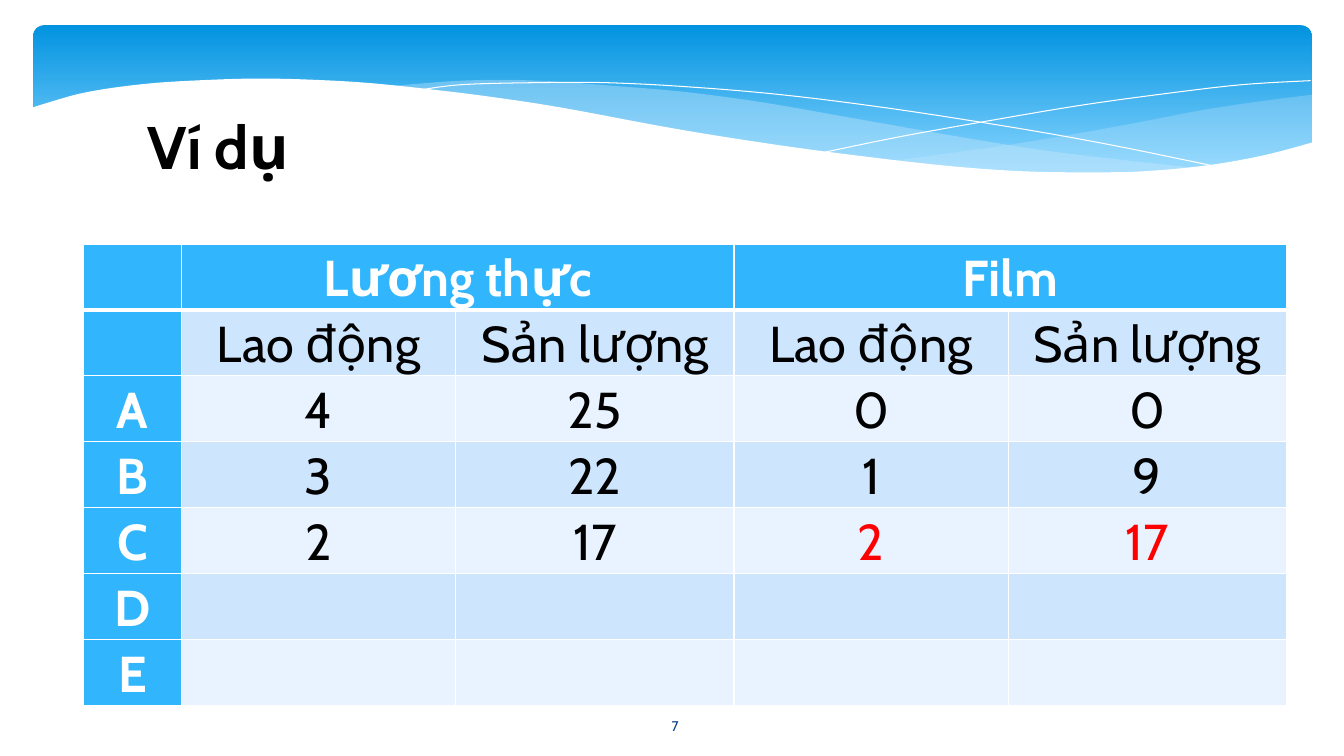
from lxml import etree
from pptx import Presentation
from pptx import util as u
from pptx.dml.color import RGBColor
from pptx.enum import shapes, text
from pptx.oxml.ns import qn

PX = 9144  # one hundred px to the inch
FONT = "Cabin"
WHITE, BLACK, RED, SKY = "FFFFFF", "000000", "FF0000", "31B6FD"
color = RGBColor.from_string


def smooth(knots, steps=6):
    """Points of a Catmull-Rom curve through the knots."""
    ends = [knots[0], *knots, knots[-1]]
    points = []
    for a, b, c, d in zip(ends, ends[1:], ends[2:], ends[3:]):
        for step in range(steps):
            t = step / steps
            points.append(tuple(
                (2 * q + (r - p) * t + (2 * p - 5 * q + 4 * r - s) * t**2
                 + (3 * q - p - 3 * r + s) * t**3) / 2
                for p, q, r, s in zip(a, b, c, d)))
    return points + [knots[-1]]


def write(frame, words, **form):
    """Put one centred line in a text frame."""
    para = frame.paragraphs[0]
    para.alignment = text.PP_ALIGN.CENTER
    span = para.add_run()
    span.text = words
    span.font.color.rgb = color(form.pop("rgb"))
    for name, value in {"name": FONT, **form}.items():
        setattr(span.font, name, value)
    return para


deck = Presentation()
deck.slide_width, deck.slide_height = 1333 * PX, 750 * PX
page = deck.slides.add_slide(deck.slide_layouts[6])

# Blue banner
banner = page.shapes.add_shape(shapes.MSO_SHAPE.ROUNDED_RECTANGLE,
                               33 * PX, 25 * PX, 1268 * PX, 156 * PX)
banner.shadow.inherit = False
banner.adjustments[0] = 0.07
banner.line.fill.background()
banner.fill.gradient()
banner.fill.gradient_angle = 270
for stop, place, shade in zip(banner.fill.gradient_stops, (0, 0.9), ("0293E0", "83D3FE")):
    stop.position = place
    stop.color.rgb = color(shade)

# Waves: edges, fill, opacity in percent (no fill means an open white line)
waves = [
    ([[(1301, 94), (1246, 101), (1188, 110), (1110, 125), (1005, 143), (882, 160)],
      [(882, 160), (958, 167), (1041, 172), (1113, 172), (1174, 167), (1238, 158), (1301, 142)]],
     "C6E7FC", 29),
    ([[(1190, 167), (1116, 159), (1034, 149), (941, 134), (839, 116), (759, 102), (686, 92),
       (619, 86), (532, 80), (459, 80), (382, 86)],
      [(382, 86), (456, 94), (539, 106), (654, 126), (755, 143), (846, 156), (926, 165),
       (998, 170), (1076, 173), (1131, 172), (1190, 167)]],
     "C6E7FC", 40),
    ([[(412, 90), (458, 84), (535, 82), (600, 82), (680, 86), (775, 94), (886, 108),
       (1014, 128), (1108, 145), (1210, 166)]], None, 100),
    ([[(818, 151), (896, 135), (997, 117), (1075, 104), (1155, 93), (1232, 84), (1300, 80)]],
     None, 100),
    ([[(1303, 141), (1254, 154), (1198, 164), (1134, 170), (1078, 171), (1015, 170),
       (944, 165), (863, 156), (772, 144), (671, 128), (558, 107), (486, 96), (421, 88),
       (361, 82), (306, 79), (258, 78), (214, 79), (158, 82), (113, 87), (79, 93),
       (54, 100), (31, 107)], [(31, 224), (1303, 224)]],
     WHITE, 100),
]
for edges, shade, opacity in waves:
    points = [(x * PX, y * PX) for edge in edges for x, y in smooth(edge)]
    builder = page.shapes.build_freeform(*points[0])
    builder.add_line_segments(points[1:], close=shade is not None)
    wave = builder.convert_to_shape()
    wave.shadow.inherit = False
    if shade is None:
        wave.fill.background()
        wave.line.color.rgb = color(WHITE)
        wave.line.width = 0
        continue
    wave.line.fill.background()
    wave.fill.solid()
    wave.fill.fore_color.rgb = color(shade)
    if opacity < 100:
        tint = next(wave.element.spPr.iter(qn("a:srgbClr")))
        etree.SubElement(tint, qn("a:alpha"), val=str(opacity * 1000))

# Slide number and title
for words, place, anchor, form in [
    ("7", (585, 700, 169, 40), text.MSO_ANCHOR.MIDDLE, {"size": u.Pt(10), "rgb": "073E87"}),
    ("Ví dụ", (4, 104, 425, 137), text.MSO_ANCHOR.TOP,
     {"size": u.Pt(42.9), "bold": True, "rgb": BLACK}),
]:
    box = page.shapes.add_textbox(*(length * PX for length in place))
    box.text_frame.word_wrap = True
    box.text_frame.vertical_anchor = anchor
    write(box.text_frame, words, **form)

# Table
rows = [
    ["", "Lương thực", "", "Film", ""],
    ["", "Lao động", "Sản lượng", "Lao động", "Sản lượng"],
    ["A", "4", "25", "0", "0"],
    ["B", "3", "22", "1", "9"],
    ["C", "2", "17", "2", "17"],
    ["D", "", "", "", ""],
    ["E", "", "", "", ""],
]
grid = page.shapes.add_table(len(rows), 5, 83 * PX, 242 * PX, 1192 * PX, 458 * PX).table
for column, width in zip(grid.columns, (97, 272, 276, 272, 276)):
    column.width = width * PX
for left in (1, 3):
    grid.cell(0, left).merge(grid.cell(0, left + 1))

for r, row in enumerate(rows):
    for c, words in enumerate(row):
        cell = grid.cell(r, c)
        heading = r == 0 or c == 0
        cell.margin_left = cell.margin_right = 7 * PX
        cell.margin_top = cell.margin_bottom = 0
        cell.fill.solid()
        cell.fill.fore_color.rgb = color(SKY if heading else ("E8F3FF", "CEE5FE")[r % 2])
        if words:
            ink = WHITE if heading else RED if r == 4 and c > 2 else BLACK
            para = write(cell.text_frame, words, size=u.Pt(36), bold=heading, rgb=ink)
            para.line_spacing = 1.07
            para.space_after = u.Pt(8)
        # White borders, thicker under the heading row
        for spot, side in enumerate(("lnL", "lnR", "lnT", "lnB")):
            thick = (r, side) in ((0, "lnB"), (1, "lnT"))
            border = etree.Element(qn("a:" + side), w=str(u.Pt(3 if thick else 1)))
            paint = etree.SubElement(border, qn("a:solidFill"))
            etree.SubElement(paint, qn("a:srgbClr"), val=WHITE)
            cell.fill._xPr.insert(spot, border)

deck.save("out.pptx")
